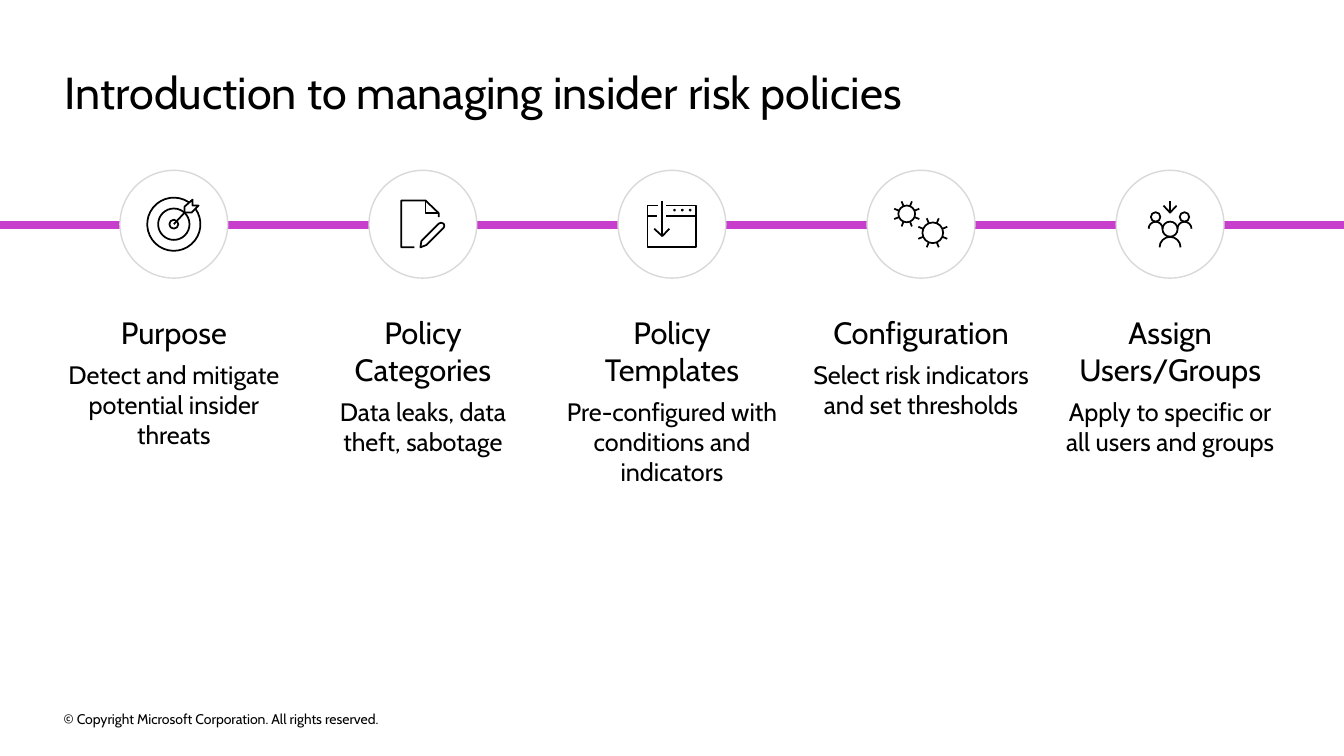
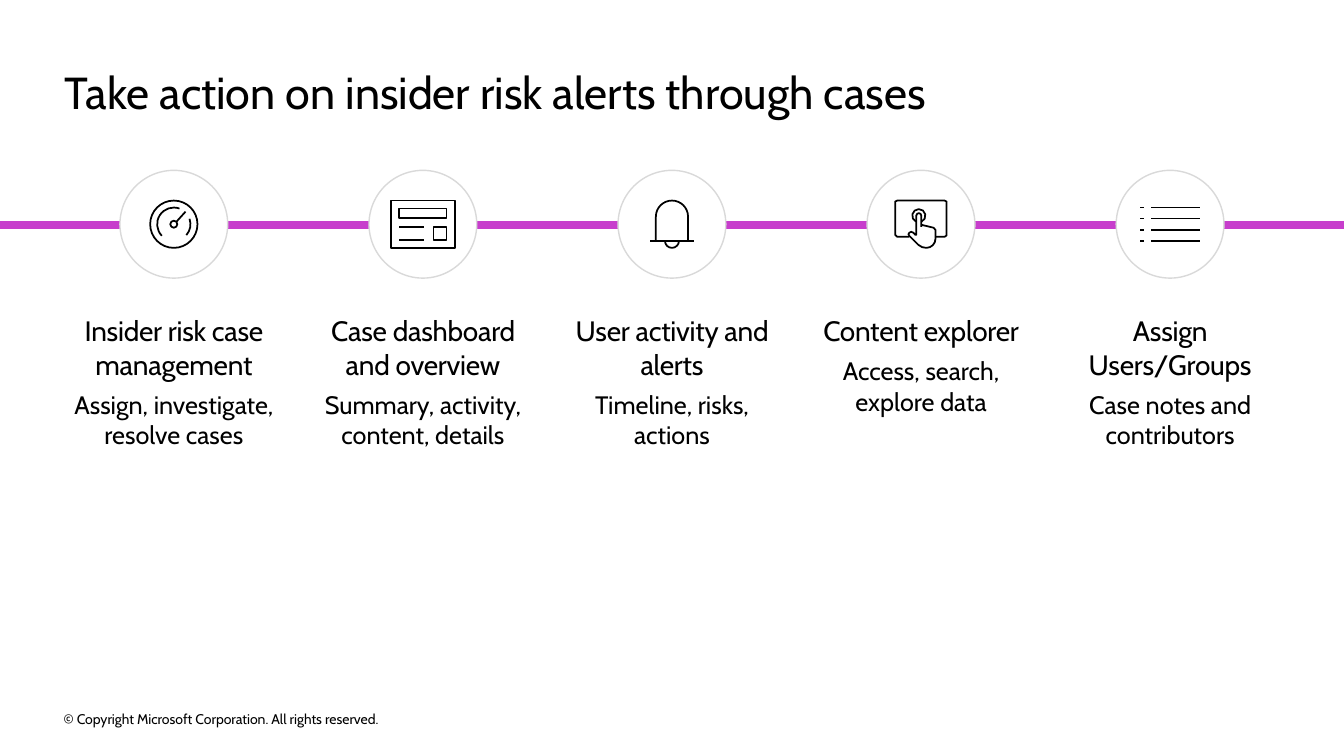
"""Build two insider risk slides, each with five steps on a coloured line."""
from math import ceil, cos, radians, sin, tan

from lxml import etree
from pptx import Presentation
from pptx.dml.color import RGBColor
from pptx.enum.shapes import MSO_CONNECTOR, MSO_SHAPE
from pptx.enum.text import MSO_ANCHOR, PP_ALIGN
from pptx.oxml.ns import qn
from pptx.util import Pt

STRAIGHT = MSO_CONNECTOR.STRAIGHT
OVAL = MSO_SHAPE.OVAL
TOP, MIDDLE = MSO_ANCHOR.TOP, MSO_ANCHOR.MIDDLE
LEFT, CENTER = PP_ALIGN.LEFT, PP_ALIGN.CENTER

FONT = "Cabin"
BLACK, WHITE, GREY, PURPLE = "000000", "FFFFFF", "D9D9D9", "C73ECC"
SLIDE_WIDTH, SLIDE_HEIGHT = 960, 540
FIRST_CENTER, PITCH, AXIS = 124.2, 177.9, 160.2
DIAMETER, TEXT_WIDTH = 77, 155.6
FOOTER = "© Copyright Microsoft Corporation. All rights reserved."


def arc(x, y, radius, start=0, end=360):
    """Return an arc's start, then two curve handles and an end for each part of it."""
    parts = ceil(abs(end - start) / 90)
    sweep = radians((end - start) / parts)
    pull = 4 / 3 * tan(sweep / 4)
    points = [(x + radius * cos(radians(start)), y + radius * sin(radians(start)))]
    for part in range(parts):
        first = radians(start) + part * sweep
        last = first + sweep
        points += [
            (x + radius * (cos(first) - pull * sin(first)),
             y + radius * (sin(first) + pull * cos(first)), "curve"),
            (x + radius * (cos(last) + pull * sin(last)),
             y + radius * (sin(last) - pull * cos(last))),
            (x + radius * cos(last), y + radius * sin(last)),
        ]
    return points


def add_text(slide, left, top, width, height, lines, align=LEFT, anchor=TOP):
    """Add a text box with one paragraph for each (text, size, tracking) line."""
    box = slide.shapes.add_textbox(Pt(left), Pt(top), Pt(width), Pt(height))
    frame = box.text_frame
    frame.word_wrap = True
    frame.vertical_anchor = anchor
    frame.margin_left = frame.margin_right = frame.margin_top = frame.margin_bottom = 0
    for index, (text, size, tracking) in enumerate(lines):
        para = frame.add_paragraph() if index else frame.paragraphs[0]
        para.alignment = align
        if index:
            para.space_before = Pt(6)
        span = para.add_run()
        span.text = text
        span.font.name = FONT
        span.font.size = Pt(size)
        span.font.color.rgb = RGBColor.from_string(BLACK)
        if tracking:
            span._r.get_or_add_rPr().set("spc", str(tracking))


target = [
    arc(0, 0, 19, -36, 304), arc(0, 0, 11.2), arc(0, 0, 3.2),
    [(0, 0), (7.7, -8.3)],
    [(17.7, -13.3), (13.4, -13.3), (13.4, -17.6), (7.7, -12.6), (7.7, -8.3),
     (12.7, -8.3), (17.7, -13.3)],
]
document = [
    [(11.2, -8), (1.8, -8), (1.8, -17)],
    [(11.2, -5), (11.2, -8), (1.8, -17), (-15.5, -17), (-15.5, 16.5), (-6.1, 16.5)],
    [(-1.8, 16.5), (2.5, 14.8), (14.8, 2.5), (15.3, 1), (14.8, -0.4), (12.9, -1.1),
     (11.2, -0.4), (-1.1, 11.9), (-1.8, 16.5)],
]
window = [
    [(-4, -13.3), (17.4, -13.3), (17.4, 16.5), (-17.5, 16.5), (-17.5, -13.3), (-9.8, -13.3)],
    [(-4, -6.1), (17.4, -6.1)],
    [(-17.5, -6.1), (-10.5, -6.1)],
    [(-12.7, 3.2), (-6.9, 8.5), (-1.9, 3.2)],
    [(-6.9, -16.7), (-6.9, 8.5)],
] + [arc(x, -10.1, 0.4) for x in (1.8, 7.4, 13)]
gears = []
for x, y, radius, tip in ((-10.2, -7.4, 6, 9.7), (8.4, 6.1, 7.4, 11.2)):
    gears.append(arc(x, y, radius))
    for tooth in range(8):
        angle = radians(22.5 + 45 * tooth)
        gears.append([(x + reach * cos(angle), y + reach * sin(angle))
                      for reach in (radius + 0.3, tip)])
people = [
    arc(0, 3.5, 5.4), arc(0, 16.5, 7.5, 180, 360),
    [(0, -16.7), (0, -8.3)],
    [(-4.7, -13.3), (0, -8.3), (4.7, -13.3)],
]
for x in (-10.3, 10.3):
    people += [arc(x, -5.2, 3.4), arc(x, 3.2, 5, 180, 360)]
gauge = [
    arc(0, 0, 16.9), arc(0, 0, 2.5), arc(0, 0, 11.9, 41, -19), arc(0, 0, 11.9, 136, 290),
    [(8.4, -9), (1.9, -1.8)],
]
dashboard = [[(-16.9, y), (1.1, y)] for y in (1.8, 11.2)]
for x1, y1, x2, y2 in ((7.6, 1.8, 16.9, 11.2), (-16.9, -11.2, 16.9, -4.7),
                       (-22.7, -16.9, 22.7, 16.9)):
    dashboard.append([(x1, y1), (x2, y1), (x2, y2), (x1, y2), (x1, y1)])
bell = [
    arc(0, 11.9, 5, 0, 180),
    [(11.5, 11.9), *arc(0, -5.4, 11.5, 0, -180), (-11.5, 11.9)],
    [(-15.5, 11.9), (15.5, 11.9)],
]
touch = [
    [(0.2, 2), (0.2, -6.1), *arc(-1.6, -6.1, 1.8, 0, -180)[1:], (-3.4, 7.6), (-4.1, 7.6),
     (-5.5, 6.1), (-7, 5.4), (-8.4, 6.1), (-9, 7.2), (-8.4, 8.3), (-1.9, 14.8),
     (0.8, 16.4), *arc(3.8, 10.4, 6.5, 90, 0), (10.3, 4), (8.9, 2.5), (0.2, 0.4)],
    arc(-1.6, -6.1, 4.7, 65, -245),
    [(10.3, 9), (16.8, 9), (18.2, 8), (18.2, -16.2), (16.8, -16.9), (-17, -16.9),
     (-18.5, -16.2), (-18.5, 7.6), (-17, 9), (-8.4, 9)],
]
bullets = [[(x1, -11.9 + 7.9 * row), (x2, -11.9 + 7.9 * row)]
           for row in range(4) for x1, x2 in ((-13.5, 21), (-21.5, -18.6))]

slides = [
    ("Introduction to managing insider risk policies", 22, 0, [
        (target, "Purpose", "Detect and mitigate potential insider threats"),
        (document, "Policy Categories", "Data leaks, data theft, sabotage"),
        (window, "Policy Templates", "Pre-configured with conditions and indicators"),
        (gears, "Configuration", "Select risk indicators and set thresholds"),
        (people, "Assign Users/Groups", "Apply to specific or all users and groups"),
    ]),
    ("Take action on insider risk alerts through cases", 20, -20, [
        (gauge, "Insider risk case management", "Assign, investigate, resolve cases"),
        (dashboard, "Case dashboard and overview", "Summary, activity, content, details"),
        (bell, "User activity and alerts", "Timeline, risks, actions"),
        (touch, "Content explorer", "Access, search, explore data"),
        (bullets, "Assign Users/Groups", "Case notes and contributors"),
    ]),
]

deck = Presentation()
deck.slide_width, deck.slide_height = Pt(SLIDE_WIDTH), Pt(SLIDE_HEIGHT)
for title, heading_size, tracking, steps in slides:
    page = deck.slides.add_slide(deck.slide_layouts[6])
    add_text(page, 45.5, 505.5, 327, 16, [(FOOTER, 10, 0)], anchor=MIDDLE)
    add_text(page, 46.3, 46, 867, 39, [(title, 32, 0)])

    line_top = Pt(AXIS + 0.6)
    axis = page.shapes.add_connector(STRAIGHT, 0, line_top, Pt(SLIDE_WIDTH), line_top)
    axis.line.color.rgb = RGBColor.from_string(PURPLE)
    axis.line.width = Pt(6)
    etree.SubElement(axis._element.spPr, qn("a:effectLst"))

    for column, (icon, heading, detail) in enumerate(steps):
        center = FIRST_CENTER + PITCH * column
        circle = page.shapes.add_shape(
            OVAL, Pt(center - DIAMETER / 2), Pt(AXIS - DIAMETER / 2), Pt(DIAMETER), Pt(DIAMETER))
        circle.shadow.inherit = False
        circle.fill.solid()
        circle.fill.fore_color.rgb = RGBColor.from_string(WHITE)
        circle.line.color.rgb = RGBColor.from_string(GREY)
        circle.line.width = Pt(1)

        strokes = [[(Pt(center + x), Pt(AXIS + y)) for x, y, *_ in stroke] for stroke in icon]
        builder = page.shapes.build_freeform(*strokes[0][0])
        builder.add_line_segments(strokes[0][1:], close=False)
        for stroke in strokes[1:]:
            builder.move_to(*stroke[0])
            builder.add_line_segments(stroke[1:], close=False)
        drawing = builder.convert_to_shape()
        drawing.shadow.inherit = False
        drawing.fill.background()
        drawing.line.color.rgb = RGBColor.from_string(BLACK)
        drawing.line.width = Pt(1.25)

        outline = next(drawing._element.iter(qn("a:path")))
        segments = list(outline)
        points = [point for stroke in icon for point in stroke]
        for index, point in enumerate(points):
            if "curve" in point:
                segments[index].tag = qn("a:cubicBezTo")
                for follower in segments[index + 1:index + 3]:
                    segments[index].append(follower[0])
                    outline.remove(follower)

        add_text(page, center - TEXT_WIDTH / 2, 224.1, TEXT_WIDTH, 100,
                 [(heading, heading_size, tracking), (detail, 18, 0)], align=CENTER)

deck.save("out.pptx")
